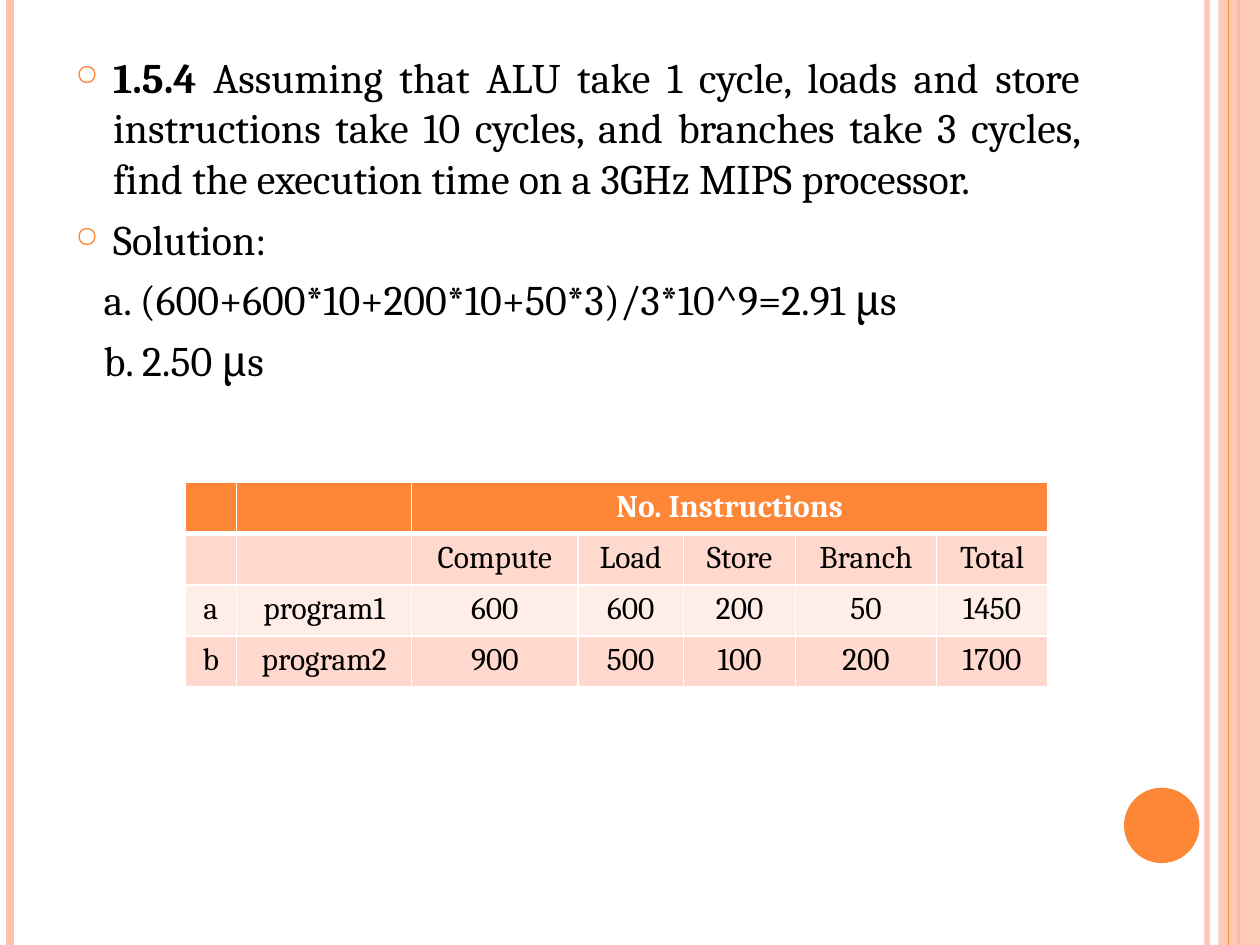
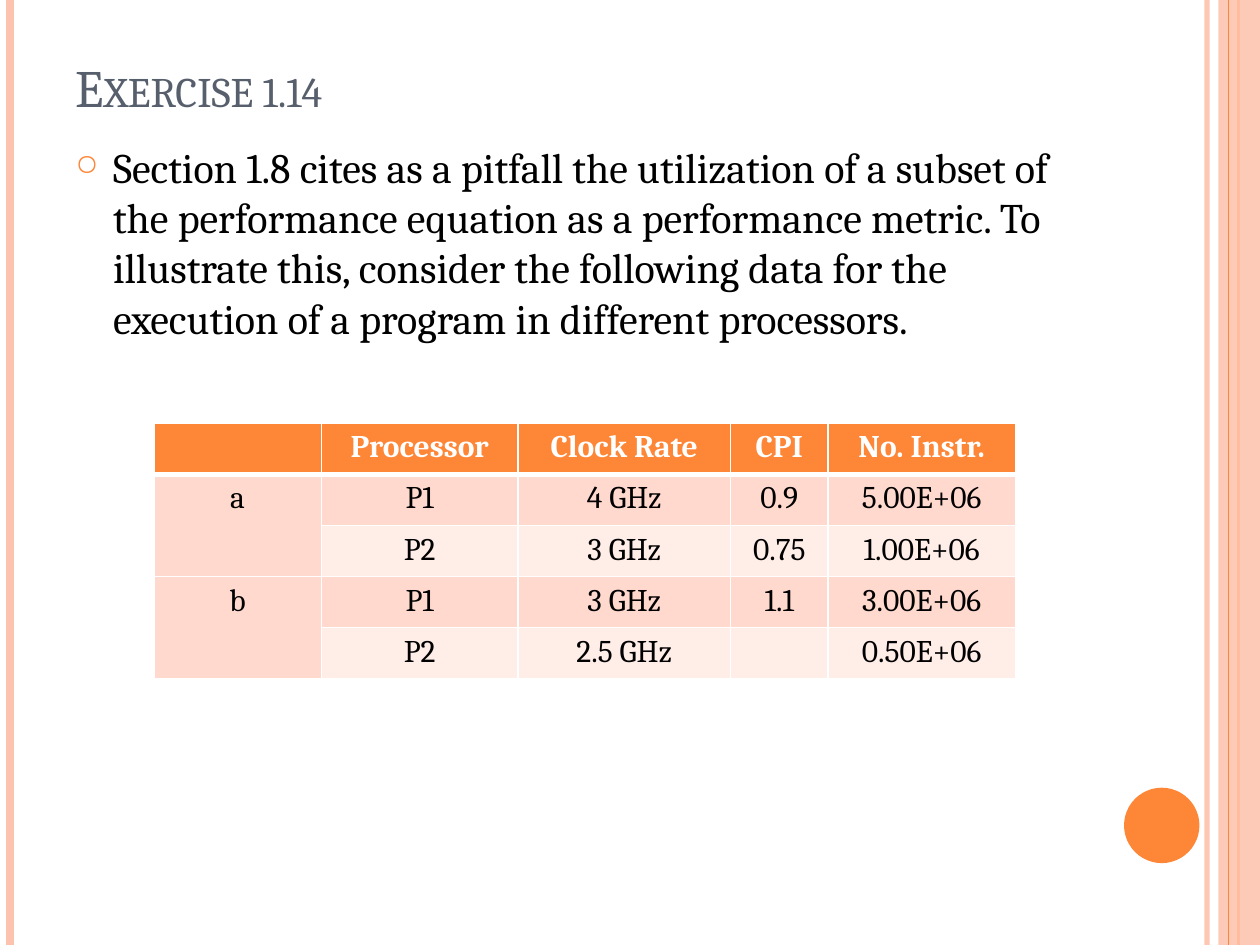
from dataclasses import dataclass
from typing import Optional

from lxml.etree import SubElement
from pptx import Presentation
from pptx.dml.color import RGBColor
from pptx.enum.shapes import MSO_CONNECTOR as Connector, MSO_SHAPE as Preset
from pptx.enum.text import MSO_ANCHOR as Anchor, MSO_AUTO_SIZE as AutoSize, PP_ALIGN as Align
from pptx.oxml.ns import qn
from pptx.util import Cm, Pt

FONT = "Cambria"
COLORS = {
    "accent": "FE8637",
    "peach": "FEC3AE",
    "band_dark": "FFD9CE",
    "band_light": "FFEDE8",
    "title": "575F6D",
    "text": "000000",
    "white": "FFFFFF",
}
SLIDE_WIDTH, SLIDE_HEIGHT = 25.4, 19.05
TEXT_LEFT, TEXT_WIDTH = 1.27, 20.75
ROW_HEIGHT = 1.03
BULLET_INDENT, ANSWER_INDENT = 0.76, 0.57


@dataclass(frozen=True)
class Rule:
    x: float
    color: str
    weight: float
    opacity: int = 100


@dataclass(frozen=True)
class Piece:
    text: str
    bold: bool = False


@dataclass(frozen=True)
class BodyLine:
    pieces: tuple[Piece, ...]
    bullet: bool = True
    align: Align = Align.LEFT


@dataclass(frozen=True)
class Grid:
    left: float
    top: float
    widths: tuple[float, ...]
    rows: tuple[tuple[str, ...], ...]
    merges: tuple[tuple[int, int, int, int], ...]


RULES_UNDER_BAND = (
    Rule(24.33, "peach", 3, 93),
    Rule(0.21, "peach", 4.5),
    Rule(24.97, "accent", 1.5),
)
RULE_OVER_BAND = Rule(24.77, "accent", 0.75)

EXECUTION_TIME = (
    BodyLine(
        (
            Piece("1.5.4", bold=True),
            Piece(" Assuming that ALU take 1 cycle, loads and store instructions take "
                  "10 cycles, and branches take 3 cycles, find the execution time on "
                  "a 3GHz MIPS processor."),
        ),
        align=Align.JUSTIFY,
    ),
    BodyLine((Piece("Solution:"),)),
    BodyLine((Piece("a. (600+600*10+200*10+50*3)/3*10^9=2.91 μs"),), bullet=False),
    BodyLine((Piece("b. 2.50 μs"),), bullet=False),
)
INSTRUCTION_COUNTS = Grid(
    3.73, 9.73,
    (1.04, 3.53, 3.35, 2.13, 2.26, 2.84, 2.24),
    (
        ("", "", "No. Instructions", "", "", "", ""),
        ("", "", "Compute", "Load", "Store", "Branch", "Total"),
        ("a", "program1", "600", "600", "200", "50", "1450"),
        ("b", "program2", "900", "500", "100", "200", "1700"),
    ),
    ((0, 2, 0, 6),),
)

PITFALL = (
    BodyLine((
        Piece("Section 1.8 cites as a pitfall the utilization of a subset of the "
              "performance equation as a performance metric. To illustrate this, consider "
              "the following data for the execution of a program in different processors."),
    )),
)
PROCESSORS = Grid(
    3.1, 8.53,
    (3.38, 3.96, 4.29, 1.96, 3.78),
    (
        ("", "Processor", "Clock Rate", "CPI", "No. Instr."),
        ("a", "P1", "4 GHz", "0.9", "5.00E+06"),
        ("", "P2", "3 GHz", "0.75", "1.00E+06"),
        ("b", "P1", "3 GHz", "1.1", "3.00E+06"),
        ("", "P2", "2.5 GHz", "", "0.50E+06"),
    ),
    ((1, 0, 2, 0), (3, 0, 4, 0)),
)


def rgb(name: str) -> RGBColor:
    return RGBColor.from_string(COLORS[name])


def set_opacity(shape, percent: int) -> None:
    """Make the first solid colour of the shape partly transparent."""
    color = next(shape._element.spPr.iter(qn("a:srgbClr")))
    SubElement(color, qn("a:alpha"), val=str(percent * 1000))


def add_run(paragraph, text: str, size: float, color: str, bold: bool = False):
    run = paragraph.add_run()
    run.text = text
    run.font.name = FONT
    run.font.size = Pt(size)
    run.font.bold = bold
    run.font.color.rgb = rgb(color)
    return run


def add_rule(slide, rule: Rule) -> None:
    connector = slide.shapes.add_connector(
        Connector.STRAIGHT, Cm(rule.x), Cm(0), Cm(rule.x), Cm(SLIDE_HEIGHT))
    connector.line.color.rgb = rgb(rule.color)
    connector.line.width = Pt(rule.weight)
    SubElement(connector._element.spPr, qn("a:effectLst"))
    if rule.opacity < 100:
        set_opacity(connector, rule.opacity)


def add_plain_shape(slide, preset: Preset, left: float, top: float,
                    width: float, height: float, color: str):
    shape = slide.shapes.add_shape(preset, Cm(left), Cm(top), Cm(width), Cm(height))
    shape.shadow.inherit = False
    shape.fill.solid()
    shape.fill.fore_color.rgb = rgb(color)
    shape.line.fill.background()
    return shape


def add_frame(slide) -> None:
    """Draw the edge rules, the right band and the disc."""
    for rule in RULES_UNDER_BAND:
        add_rule(slide, rule)
    band_left = 24.56
    band = add_plain_shape(slide, Preset.RECTANGLE, band_left, 0,
                           SLIDE_WIDTH - band_left, SLIDE_HEIGHT, "peach")
    set_opacity(band, 87)
    add_rule(slide, RULE_OVER_BAND)
    add_plain_shape(slide, Preset.OVAL, 22.66, 15.88, 1.52, 1.52, "accent")


def format_title(slide, text: str) -> None:
    title = slide.shapes.title
    title.left, title.top = Cm(TEXT_LEFT), Cm(0.76)
    title.width, title.height = Cm(TEXT_WIDTH), Cm(1.75)
    frame = title.text_frame
    frame.auto_size = AutoSize.NONE
    frame.vertical_anchor = Anchor.BOTTOM
    paragraph = frame.paragraphs[0]
    paragraph.alignment = Align.LEFT
    run = add_run(paragraph, text, 30, "title")
    run._r.get_or_add_rPr().set("cap", "small")


def set_indent(paragraph, bullet: bool) -> None:
    properties = paragraph._p.get_or_add_pPr()
    if not bullet:
        properties.set("marL", str(Cm(ANSWER_INDENT)))
        return
    properties.set("marL", str(Cm(BULLET_INDENT)))
    properties.set("indent", str(-Cm(BULLET_INDENT)))
    bullet_color = SubElement(properties, qn("a:buClr"))
    SubElement(bullet_color, qn("a:srgbClr"), val=COLORS["accent"])
    SubElement(properties, qn("a:buSzPct"), val="70000")
    SubElement(properties, qn("a:buChar"), char="○")


def add_body(slide, top: float, height: float, lines: tuple[BodyLine, ...]) -> None:
    box = slide.shapes.add_textbox(Cm(TEXT_LEFT), Cm(top), Cm(TEXT_WIDTH), Cm(height))
    frame = box.text_frame
    frame.word_wrap = True
    frame.auto_size = AutoSize.NONE
    for index, line in enumerate(lines):
        paragraph = frame.add_paragraph() if index else frame.paragraphs[0]
        set_indent(paragraph, line.bullet)
        paragraph.alignment = line.align
        paragraph.space_before = Pt(6 if index else 0)
        for piece in line.pieces:
            add_run(paragraph, piece.text, 24, "text", piece.bold)


def set_borders(cell, top_weight: float, bottom_weight: float) -> None:
    properties = cell._tc.get_or_add_tcPr()
    weights = {"lnL": 1, "lnR": 1, "lnT": top_weight, "lnB": bottom_weight}
    for side, weight in weights.items():
        line = SubElement(properties, qn(f"a:{side}"), w=str(Pt(weight)))
        fill = SubElement(line, qn("a:solidFill"))
        SubElement(fill, qn("a:srgbClr"), val=COLORS["white"])


def row_fill(row: int) -> str:
    if row == 0:
        return "accent"
    return "band_dark" if row % 2 else "band_light"


def add_grid(slide, grid: Grid) -> None:
    table = slide.shapes.add_table(
        len(grid.rows), len(grid.widths), Cm(grid.left), Cm(grid.top),
        Cm(sum(grid.widths)), Cm(ROW_HEIGHT * len(grid.rows))).table
    table.horz_banding = False
    for column, width in zip(table.columns, grid.widths):
        column.width = Cm(width)
    for row, texts in enumerate(grid.rows):
        table.rows[row].height = Cm(ROW_HEIGHT)
        header = row == 0
        for column, text in enumerate(texts):
            cell = table.cell(row, column)
            set_borders(cell, 3 if row == 1 else 1, 3 if header else 1)
            cell.fill.solid()
            cell.fill.fore_color.rgb = rgb(row_fill(row))
            if text:
                paragraph = cell.text_frame.paragraphs[0]
                paragraph.alignment = Align.CENTER
                add_run(paragraph, text, 18, "white" if header else "text", header)
    for first_row, first_column, last_row, last_column in grid.merges:
        table.cell(first_row, first_column).merge(table.cell(last_row, last_column))


def add_exercise(presentation, body_top: float, body_height: float,
                 lines: tuple[BodyLine, ...], grid: Grid,
                 title: Optional[str] = None) -> None:
    layout_name = "Title Only" if title else "Blank"
    slide = presentation.slides.add_slide(
        presentation.slide_layouts.get_by_name(layout_name))
    add_frame(slide)
    if title:
        format_title(slide, title)
    add_body(slide, body_top, body_height, lines)
    add_grid(slide, grid)


def main() -> None:
    presentation = Presentation()
    presentation.slide_width = Cm(SLIDE_WIDTH)
    presentation.slide_height = Cm(SLIDE_HEIGHT)
    add_exercise(presentation, 0.91, 17.07, EXECUTION_TIME, INSTRUCTION_COUNTS)
    add_exercise(presentation, 2.72, 15.27, PITFALL, PROCESSORS, title="Exercise 1.14")
    presentation.save("out.pptx")


if __name__ == "__main__":
    main()
